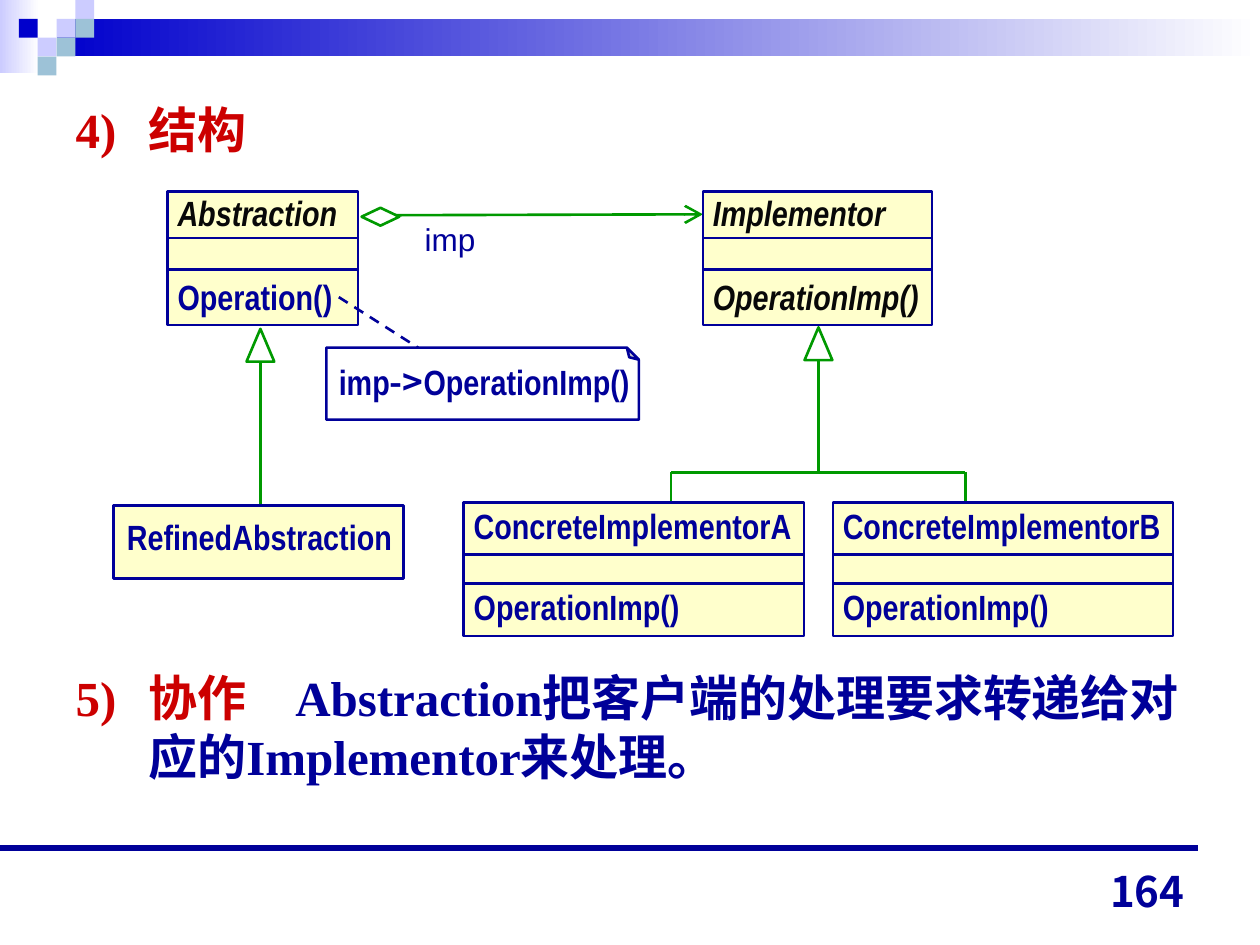
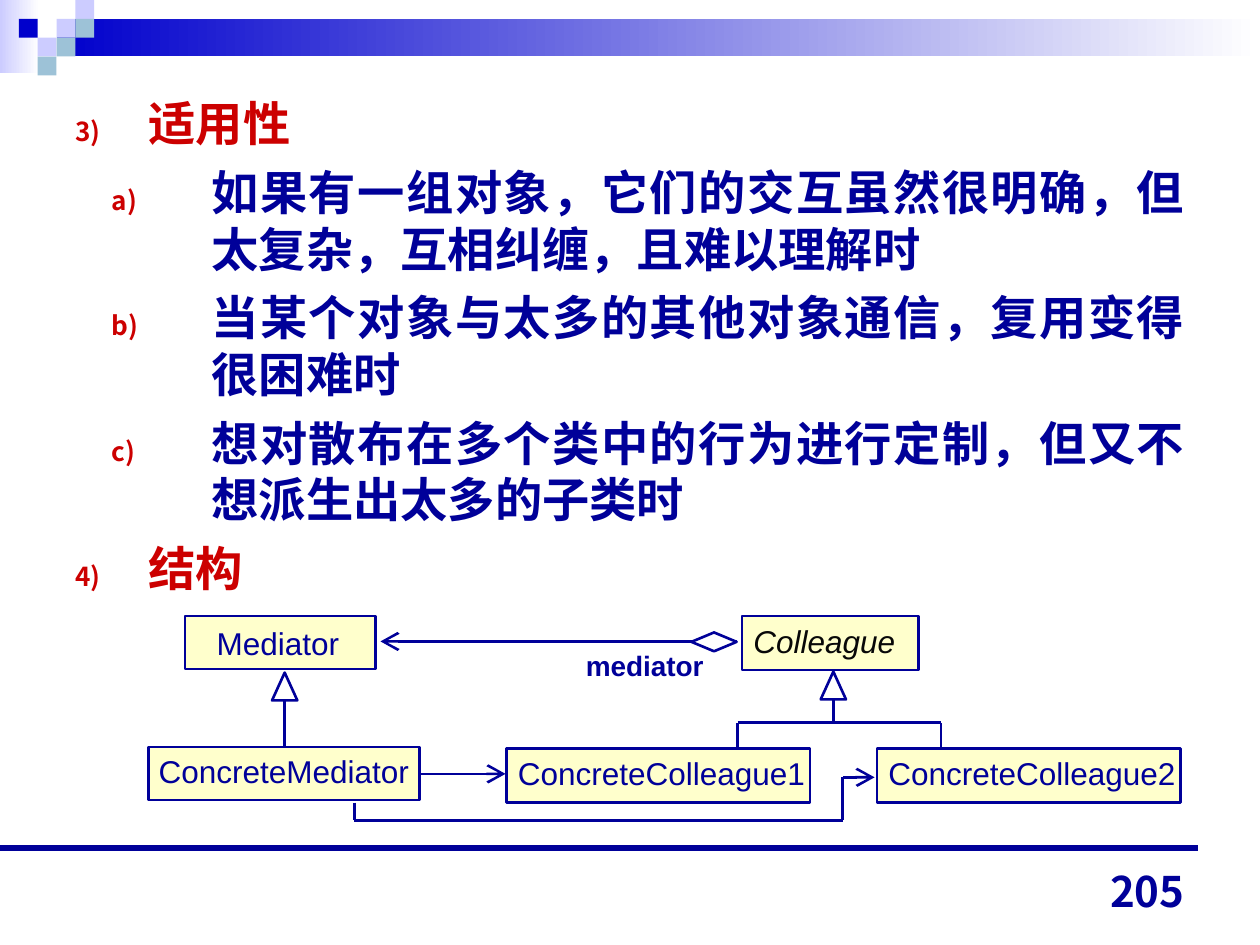
from itertools import pairwise

from lxml.etree import SubElement
from pptx import Presentation
from pptx.dml.color import RGBColor
from pptx.enum.dml import MSO_LINE
from pptx.enum.shapes import MSO_CONNECTOR, MSO_SHAPE
from pptx.enum.text import MSO_ANCHOR, MSO_AUTO_SIZE, PP_ALIGN
from pptx.oxml.ns import qn
from pptx.util import Cm, Pt

NAVY = RGBColor(0x00, 0x00, 0x99)
RED = RGBColor(0xCC, 0x00, 0x00)
GREEN = RGBColor(0x00, 0x99, 0x00)
INK = RGBColor(0x08, 0x08, 0x08)
CREAM = RGBColor(0xFF, 0xFF, 0xCC)
WHITE = RGBColor(0xFF, 0xFF, 0xFF)
BLUE = RGBColor(0x00, 0x00, 0xCC)
LILAC = RGBColor(0xCC, 0xCC, 0xFF)
TEAL = RGBColor(0x9D, 0xC2, 0xD7)

SERIF = "Times New Roman"
SANS = "Arial"
NARROW = "Arial Narrow"
CJK = "Noto Sans CJK SC"
NUMBER_FONT = "Noto Sans CJK JP"

TILE = 0.38
TILES = [(LILAC, [(3, 1), (4, 0), (2, 2)]),
         (TEAL, [(4, 1), (3, 2), (2, 3)]),
         (BLUE, [(1, 1)])]


def style_run(run, size, color, font=SANS, bold=False, italic=False):
    run.font.name = font
    run.font.size = Pt(size)
    run.font.color.rgb = color
    run.font.bold = bold
    run.font.italic = italic


def add_outline(slide, preset, box, fill, line_color=None):
    shape = slide.shapes.add_shape(preset, *map(Cm, box))
    shape.shadow.inherit = False
    shape.fill.solid()
    shape.fill.fore_color.rgb = fill
    if line_color is None:
        shape.line.fill.background()
    else:
        shape.line.color.rgb = line_color
        shape.line.width = Pt(1.5)
    return shape


def add_line(slide, color, start, end, arrow=False, dashed=False, width=1.5):
    line = slide.shapes.add_connector(MSO_CONNECTOR.STRAIGHT, *map(Cm, (*start, *end)))
    line.line.color.rgb = color
    line.line.width = Pt(width)
    if dashed:
        line.line.dash_style = MSO_LINE.DASH
    if arrow:
        SubElement(line.line._get_or_add_ln(), qn("a:tailEnd"),
                   type="arrow", w="lg", len="lg")
    SubElement(line._element.spPr, qn("a:effectLst"))


def add_label(slide, box, text, size, font=SANS, bold=False):
    label = slide.shapes.add_textbox(*map(Cm, box))
    frame = label.text_frame
    frame.word_wrap = True
    frame.text = text
    style_run(frame.paragraphs[0].runs[0], size, NAVY, font, bold)
    return frame


def add_class_box(slide, box, lines, size, font=SANS, bold=False, abstract=(),
                  dividers=(), gap=0, inset=(0.2, 0.1)):
    """Draw a UML class; lines listed by index in abstract are black italics."""
    left, top, width, _ = box
    shape = add_outline(slide, MSO_SHAPE.RECTANGLE, box, CREAM, NAVY)
    frame = shape.text_frame
    frame.word_wrap = True
    frame.vertical_anchor = MSO_ANCHOR.TOP
    frame.margin_left, frame.margin_top = map(Cm, inset)
    frame.margin_right = frame.margin_bottom = 0
    frame.text = "\n".join(lines)
    for index, paragraph in enumerate(frame.paragraphs):
        paragraph.alignment = PP_ALIGN.LEFT
        if index:
            paragraph.space_before = Pt(gap)
        is_abstract = index in abstract
        style_run(paragraph.runs[0], size, INK if is_abstract else NAVY,
                  font, bold, is_abstract)
    for offset in dividers:
        add_line(slide, NAVY, (left, top + offset), (left + width, top + offset))


def add_inheritance(slide, color, apex, size, bottom):
    x, y = apex
    width, height = size
    add_line(slide, color, (x, y + height), (x, bottom))
    add_outline(slide, MSO_SHAPE.ISOSCELES_TRIANGLE,
                (x - width / 2, y, width, height), WHITE, color)


def add_fork(slide, color, y, branches, bottom):
    add_line(slide, color, (branches[0], y), (branches[-1], y))
    for x in branches:
        add_line(slide, color, (x, y), (x, bottom))


def add_aggregation(slide, color, start, end, diamond):
    add_line(slide, color, start, end, arrow=True)
    add_outline(slide, MSO_SHAPE.DIAMOND, diamond, WHITE, color)


def add_gradient_band(slide, box, color):
    band = add_outline(slide, MSO_SHAPE.RECTANGLE, box, color)
    band.fill.gradient()
    band.fill.gradient_angle = 0
    for stop, stop_color in zip(band.fill.gradient_stops, (color, WHITE)):
        stop.color.rgb = stop_color


def add_page(deck, number):
    slide = deck.slides.add_slide(deck.slide_layouts[1])
    title = slide.shapes.title._element
    title.getparent().remove(title)
    add_gradient_band(slide, (0, 0, 0.79, 1.47), LILAC)
    add_gradient_band(slide, (3 * TILE, TILE, 24.26, 2 * TILE), BLUE)
    for color, cells in TILES:
        for column, row in cells:
            add_outline(slide, MSO_SHAPE.RECTANGLE,
                        (column * TILE, row * TILE, TILE, TILE), color)
    add_line(slide, NAVY, (0, 17.09), (24.16, 17.09), width=3.25)
    page = add_label(slide, (18.21, 17.32, 5.92, 1.27), number, 24,
                     NUMBER_FONT, bold=True)
    page.vertical_anchor = MSO_ANCHOR.BOTTOM
    page.paragraphs[0].alignment = PP_ALIGN.RIGHT
    return slide


def place_body(slide, top, height):
    body = slide.placeholders[1]
    body.left, body.top, body.width, body.height = map(Cm, (1.27, top, 22.86, height))
    frame = body.text_frame
    frame.word_wrap = True
    frame.auto_size = MSO_AUTO_SIZE.NONE
    frame.vertical_anchor = MSO_ANCHOR.TOP
    return frame


def fill_body_paragraph(paragraph, parts, size, space_before, numbering=None,
                        level=0):
    """Write (text, colour) parts; numbering holds the a:buAutoNum attributes."""
    paragraph.level = level
    margin, hanging = ((1.47, 1.47), (2.74, 2.01))[level]
    properties = paragraph._p.get_or_add_pPr()
    properties.set("marL", str(Cm(margin)))
    properties.set("indent", str(-Cm(hanging)))
    if numbering:
        color = SubElement(properties, qn("a:buClr"))
        SubElement(color, qn("a:srgbClr"), val=str(RED))
        SubElement(properties, qn("a:buSzPct"), val="55000")
        SubElement(properties, qn("a:buFont"), typeface=NUMBER_FONT)
        SubElement(properties, qn("a:buAutoNum"), **numbering)
    else:
        SubElement(properties, qn("a:buNone"))
    paragraph.alignment = PP_ALIGN.JUSTIFY if level else PP_ALIGN.LEFT
    paragraph.line_spacing = Pt(1.2 * size)
    paragraph.space_before = Pt(space_before)
    for text, color in parts:
        run = paragraph.add_run()
        run.text = text
        style_run(run, size, color, SERIF, bold=True)
        SubElement(run._r.get_or_add_rPr(), qn("a:ea"), typeface=CJK)


def add_note(slide):
    note = add_outline(slide, MSO_SHAPE.FOLDED_CORNER, (6.58, 7.01, 6.3, 1.45),
                       WHITE, NAVY)
    note._element.spPr.get_or_add_xfrm().set("flipV", "1")
    code = add_label(slide, (6.58, 7.14, 6.8, 1.12), "imp", 20, NARROW, bold=True)
    code.vertical_anchor = MSO_ANCHOR.MIDDLE
    for text, font in (("->", CJK), ("OperationImp()", NARROW)):
        run = code.paragraphs[0].add_run()
        run.text = text
        style_run(run, 20, NAVY, font, bold=True)


def build_bridge(deck):
    slide = add_page(deck, "164")
    body = place_body(slide, 1.88, 15.06)
    fill_body_paragraph(body.paragraphs[0], [("4)\t结构", RED)], 28, 0)
    fill_body_paragraph(
        body.add_paragraph(),
        [("5)\t协作　", RED),
         ("Abstraction把客户端的处理要求转递给对应的Implementor来处理。", NAVY)],
        28, 291)

    add_aggregation(slide, GREEN, (7.37, 4.34), (14.17, 4.32), (7.29, 4.19, 0.76, 0.36))
    for apex, bottom in (((5.25, 6.63), 10.19), ((16.5, 6.6), 9.52)):
        add_inheritance(slide, GREEN, apex, (0.56, 0.66), bottom)
    add_fork(slide, GREEN, 9.52, (13.53, 19.46), 10.13)
    add_note(slide)

    heading = {"size": 20, "font": NARROW, "bold": True}
    upper = {**heading, "dividers": (0.94, 1.58), "gap": 24, "inset": (0.2, 0)}
    lower = {**heading, "dividers": (1.05, 1.63), "gap": 22, "inset": (0.2, 0.05)}
    add_class_box(slide, (3.38, 3.86, 3.84, 2.69), ["Abstraction", "Operation()"],
                  abstract=(0,), **upper)
    add_class_box(slide, (14.17, 3.86, 4.62, 2.69), ["Implementor", "OperationImp()"],
                  abstract=(0, 1), **upper)
    for left, variant in ((9.35, "A"), (16.79, "B")):
        add_class_box(slide, (left, 10.13, 6.86, 2.69),
                      [f"ConcreteImplementor{variant}", "OperationImp()"], **lower)
    add_class_box(slide, (2.29, 10.19, 5.84, 1.47), ["RefinedAbstraction"],
                  inset=(0.27, 0.2), **heading)
    add_line(slide, NAVY, (6.83, 5.99), (8.43, 7.01), dashed=True)
    add_label(slide, (8.31, 4.32, 2.5, 1.02), "imp", 18)


def build_mediator(deck):
    slide = add_page(deck, "205")
    body = place_body(slide, 1.78, 10.44)
    topics = {"type": "arabicParenR", "startAt": "3"}
    cases = {"type": "alphaLcParenR"}
    outline = [
        ("适用性", 0),
        ("如果有一组对象，它们的交互虽然很明确，但太复杂，互相纠缠，且难以理解时", 1),
        ("当某个对象与太多的其他对象通信，复用变得很困难时", 1),
        ("想对散布在多个类中的行为进行定制，但又不想派生出太多的子类时", 1),
        ("结构", 0),
    ]
    for index, (text, level) in enumerate(outline):
        paragraph = body.add_paragraph() if index else body.paragraphs[0]
        fill_body_paragraph(paragraph, [(text, NAVY if level else RED)], 27,
                            6.8 if index else 0, cases if level else topics, level)

    add_aggregation(slide, NAVY, (14.86, 12.93), (7.67, 12.93),
                    (13.94, 12.75, 0.91, 0.38))
    for apex, bottom in (((5.74, 13.56), 15.06), ((16.8, 13.54), 14.57)):
        add_inheritance(slide, NAVY, apex, (0.51, 0.56), bottom)
    add_fork(slide, NAVY, 14.57, (14.87, 18.97), 15.09)
    add_line(slide, NAVY, (8.43, 15.6), (10.19, 15.6), arrow=True)
    detour = [(7.14, 16.18), (7.14, 16.54), (16.99, 16.54), (16.99, 15.67), (17.63, 15.67)]
    for start, end in pairwise(detour):
        add_line(slide, NAVY, start, end, arrow=end == detour[-1])

    add_class_box(slide, (3.73, 12.42, 3.84, 1.07), ["Mediator"], 18, inset=(0.64, 0.15))
    add_class_box(slide, (3, 15.06, 5.46, 1.07), ["ConcreteMediator"], 18)
    add_class_box(slide, (14.96, 12.42, 3.56, 1.09), ["Colleague"], 18,
                  abstract=(0,), inset=(0.23, 0.12))
    for left, variant in ((10.21, 1), (17.68, 2)):
        add_class_box(slide, (left, 15.09, 6.12, 1.09),
                      [f"ConcreteColleague{variant}"], 18, inset=(0.23, 0.12))
    add_label(slide, (11.56, 12.95, 3.6, 0.94), "mediator", 16, bold=True)


def main():
    deck = Presentation()
    deck.slide_width, deck.slide_height = Cm(25.4), Cm(19.05)
    build_bridge(deck)
    build_mediator(deck)
    deck.save("out.pptx")


if __name__ == "__main__":
    main()
